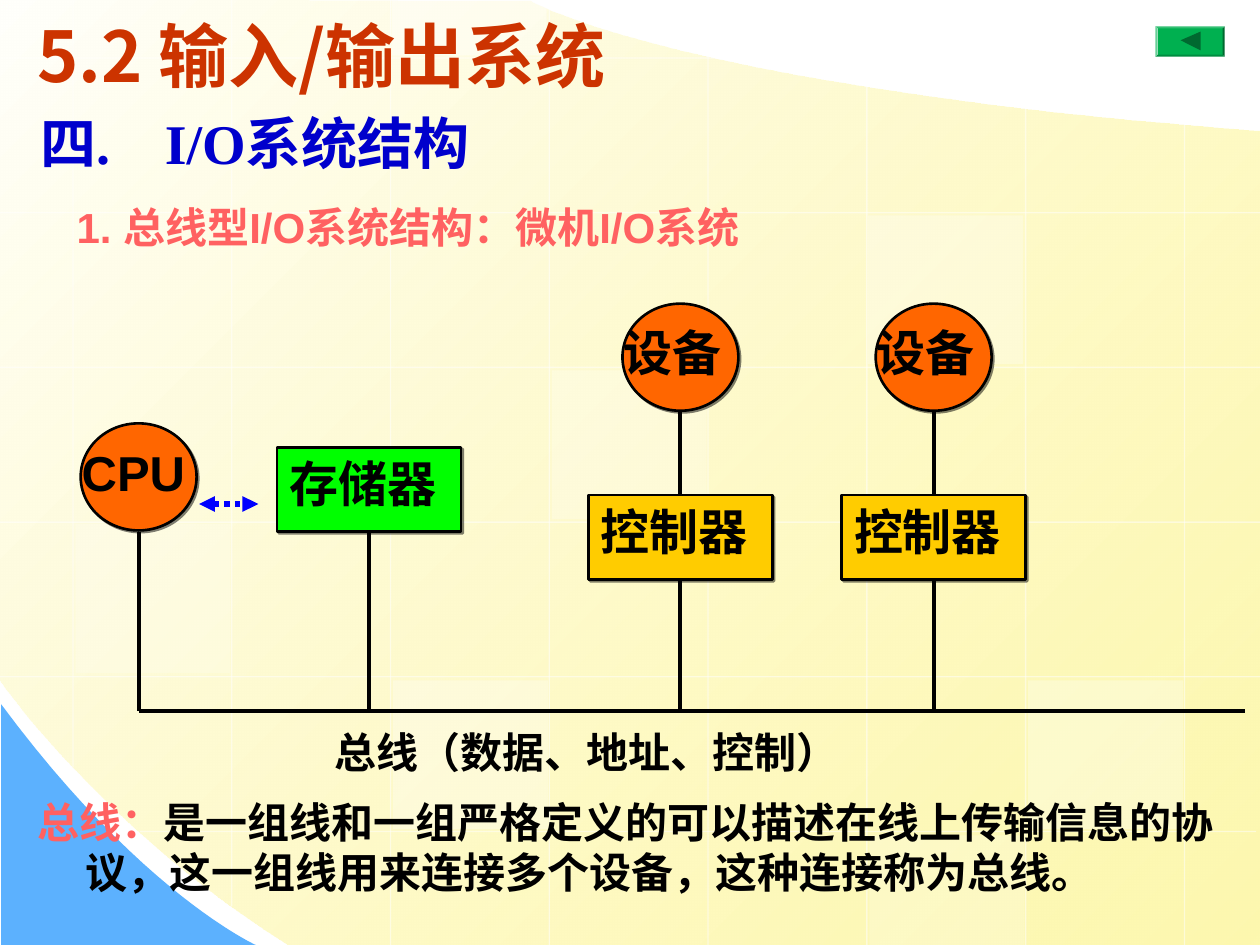
from lxml import etree
from pptx import Presentation
from pptx import util as u
from pptx.dml.color import RGBColor
from pptx.enum import dml, shapes, text
from pptx.oxml import ns, parse_xml

Inches = u.Inches
Kind = shapes.MSO_SHAPE

BLACK = RGBColor(0x00, 0x00, 0x00)
WHITE = RGBColor(0xFF, 0xFF, 0xFF)
CREAM = RGBColor(0xFF, 0xFF, 0xFB)
YELLOW = RGBColor(0xFD, 0xF5, 0x8D)
SKY = RGBColor(0x5C, 0xB1, 0xFE)
RUST = RGBColor(0xCC, 0x33, 0x00)
NAVY = RGBColor(0x00, 0x00, 0xCC)
CORAL = RGBColor(0xFF, 0x61, 0x61)
ORANGE = RGBColor(0xFF, 0x66, 0x00)
LIME = RGBColor(0x00, 0xFF, 0x00)
GOLD = RGBColor(0xFF, 0xCC, 0x00)
BLUE = RGBColor(0x00, 0x00, 0xFF)
GREEN = RGBColor(0x00, 0xB0, 0x50)
DARK_GREEN = RGBColor(0x00, 0x69, 0x30)

SHADOW = (f'<a:effectLst {ns.nsdecls("a")}>'
          '<a:outerShdw dist="17780" dir="2700000" algn="tl" rotWithShape="0">'
          '<a:srgbClr val="000000"><a:alpha val="50000"/></a:srgbClr>'
          '</a:outerShdw></a:effectLst>')


def add_child(parent, tag, **attributes):
    return etree.SubElement(parent, ns.qn(tag), **attributes)


def set_alpha(element, percent):
    for colour in element.iter(ns.qn("a:srgbClr")):
        add_child(colour, "a:alpha", val=str(percent * 1000))


def curve(start, control_1, control_2, end, steps=24):
    """Points along a cubic curve, both ends included."""
    points = []
    for i in range(steps + 1):
        t = i / steps
        weights = ((1 - t) ** 3, 3 * t * (1 - t) ** 2, 3 * t * t * (1 - t), t ** 3)
        corners = (start, control_1, control_2, end)
        points.append(tuple(sum(w * p[axis] for w, p in zip(weights, corners))
                            for axis in (0, 1)))
    return points


class SlideBuilder:
    font_name = "Arial"
    line_width = 2.25

    def __init__(self, slide):
        self.slide = slide

    def paint(self, shape, fill, outline=None, alpha=None, shadow=False):
        shape.shadow.inherit = False
        shape.fill.solid()
        shape.fill.fore_color.rgb = fill
        if alpha:
            set_alpha(shape.fill._xPr, alpha)
        if outline is None:
            shape.line.fill.background()
        else:
            shape.line.color.rgb = outline
            shape.line.width = u.Pt(1.5)
        if shadow:
            properties = shape._element.spPr
            properties.replace(properties.find(ns.qn("a:effectLst")), parse_xml(SHADOW))
        return shape

    def shape(self, kind, left, top, width, height, fill, **style):
        shape = self.slide.shapes.add_shape(
            kind, Inches(left), Inches(top), Inches(width), Inches(height))
        return self.paint(shape, fill, **style)

    def outline(self, points, fill):
        points = [(Inches(x), Inches(y)) for x, y in points]
        builder = self.slide.shapes.build_freeform(*points[0])
        builder.add_line_segments(points[1:], close=True)
        return self.paint(builder.convert_to_shape(), fill)

    def line(self, x1, y1, x2, y2, colour=BLACK, width=line_width, alpha=None):
        line = self.slide.shapes.add_connector(
            shapes.MSO_CONNECTOR.STRAIGHT,
            Inches(x1), Inches(y1), Inches(x2), Inches(y2))
        line.line.color.rgb = colour
        line.line.width = u.Pt(width)
        if alpha:
            set_alpha(line._element.spPr, alpha)
        add_child(line._element.spPr, "a:effectLst")
        return line

    def text(self, left, top, width, height, pieces, size,
             font_name=font_name, hanging=0, shadow=False):
        """One paragraph from (text, colour) pieces."""
        box = self.slide.shapes.add_textbox(
            Inches(left), Inches(top), Inches(width), Inches(height))
        frame = box.text_frame
        frame.word_wrap = True
        frame.auto_size = text.MSO_AUTO_SIZE.NONE
        paragraph = frame.paragraphs[0]
        if hanging:
            properties = paragraph._p.get_or_add_pPr()
            properties.set("marL", str(Inches(hanging)))
            properties.set("indent", str(-Inches(hanging)))
        paragraph.font.size = u.Pt(size)
        paragraph.font.bold = True
        paragraph.font.name = font_name
        for words, colour in pieces:
            run = paragraph.add_run()
            run.text = words
            run.font.color.rgb = colour
            if shadow:
                run._r.get_or_add_rPr().append(parse_xml(SHADOW))

    def round_node(self, label, left, top):
        self.shape(Kind.OVAL, left, top, 0.92, 0.85, ORANGE, outline=BLACK, shadow=True)
        self.text(left - 0.09, top + 0.1, 1.28, 0.57, [(label, BLACK)], 28, shadow=True)

    def box_node(self, label, left, top, fill):
        self.shape(Kind.RECTANGLE, left, top, 1.46, 0.67, fill, outline=BLACK, shadow=True)
        self.text(left, top, 1.46, 0.57, [(label, BLACK)], 28, shadow=True)


def add_background(builder):
    # Yellow sheet with curved corners, and the blue corner
    sheet = builder.outline(
        [(10, 7.5)]
        + curve((2.3, 7.5), (0.86, 6.61), (-0.01, 5.39), (0, 5.39))
        + [(-0.01, -0.01)]
        + curve((4.21, 0.01), (4.21, 0.01), (5.37, 0.69), (10, 1.04)), CREAM)
    sheet.fill.gradient()
    sheet.fill.gradient_angle = 315
    for stop, colour, position in zip(sheet.fill.gradient_stops, (CREAM, YELLOW), (0, 1)):
        stop.color.rgb = colour
        stop.position = position
    set_alpha(sheet.fill.gradient_stops[1]._gs, 70)
    builder.outline([(0.01, 7.5)]
                    + curve((2.03, 7.5), (2.03, 7.5), (1.12, 7.09), (0.01, 5.59)), SKY)

    # Faint grid
    columns = [(0, 6.09), (0, 7.19), (0, 7.5), (0, 7.5),
               (0.43, 7.5), (0.68, 7.5), (0.85, 7.5), (0.98, 7.5)]
    for i, (top, bottom) in enumerate(columns):
        x = 0.58 + 1.26 * i
        builder.line(x, top, x, bottom, WHITE, 0.75, 50)
    rows = [(0, 5.68)] + [(0, 10)] * 4 + [(1.11, 9.97)]
    for i, (left, right) in enumerate(rows):
        y = 0.46 + 1.228 * i
        builder.line(left, y, right, y, WHITE, 0.75, 50)

    # Lighter tiles
    for left, top, height, alpha in [
            (4.38, 2.94, 1.18, 25), (8.16, 5.4, 1.18, 30), (0.6, 4.16, 1.18, 20),
            (6.9, 6.63, 0.87, 20), (3.11, 0, 0.44, 40), (3.12, 5.4, 1.18, 30),
            (6.89, 1.71, 1.18, 30)]:
        builder.shape(Kind.RECTANGLE, left, top, 1.23, height, WHITE, alpha=alpha)


def add_bus_diagram(builder):
    bus = 5.64
    builder.line(1.1, bus, 9.88, bus)

    # Processor and memory
    builder.round_node("CPU", 0.64, 3.36)
    builder.box_node("存储器", 2.2, 3.55, LIME)
    for x in (1.1, 2.93):
        builder.line(x, 4.22, x, bus)

    # Devices with their controllers
    for left in (4.67, 6.68):
        x = left + 0.73
        builder.box_node("控制器", left, 3.93, GOLD)
        builder.round_node("设备", left + 0.27, 2.41)
        builder.line(x, 4.6, x, bus)
        builder.line(x, 3.27, x, 3.93)

    # Dotted two-way arrow
    arrow = builder.line(1.58, 4, 2.05, 4, BLUE, 3)
    arrow.line.dash_style = dml.MSO_LINE.ROUND_DOT
    for end in ("a:headEnd", "a:tailEnd"):
        add_child(arrow.line._ln, end, type="triangle")

    builder.text(2.56, 5.72, 5.04, 0.5, [("总线（数据、地址、控制）", BLACK)], 24, shadow=True)


def main():
    presentation = Presentation()
    presentation.slide_width, presentation.slide_height = Inches(10), Inches(7.5)
    builder = SlideBuilder(presentation.slides.add_slide(presentation.slide_layouts[6]))

    add_background(builder)
    builder.text(0.22, 0.81, 6.51, 1.04, [("四.\tI/O系统结构", NAVY)], 32,
                 "Times New Roman", hanging=0.99)
    add_bus_diagram(builder)

    # Subheading and definition
    builder.text(0.51, 1.55, 6.77, 0.5,
                 [("1. 总线型I/O系统结构：微机I/O系统", CORAL)], 24, hanging=0.38)
    builder.text(0.2, 6.27, 9.8, 0.9, [
        ("总线：", CORAL),
        ("是一组线和一组严格定义的可以描述在线上传输信息的协议，"
         "这一组线用来连接多个设备，这种连接称为总线。", BLACK)], 24, hanging=0.38)

    # Back button
    button = builder.shape(Kind.BEVEL, 9.17, 0.21, 0.55, 0.24, GREEN)
    button.adjustments[0] = 0.07
    builder.outline([(9.37, 0.32), (9.53, 0.25), (9.53, 0.4)], DARK_GREEN)

    # Title
    builder.text(0.2, 0.05, 6.22, 0.77, [("5.2 输入/输出系统", RUST)], 40, "Noto Sans CJK SC")

    presentation.save("out.pptx")


if __name__ == "__main__":
    main()
